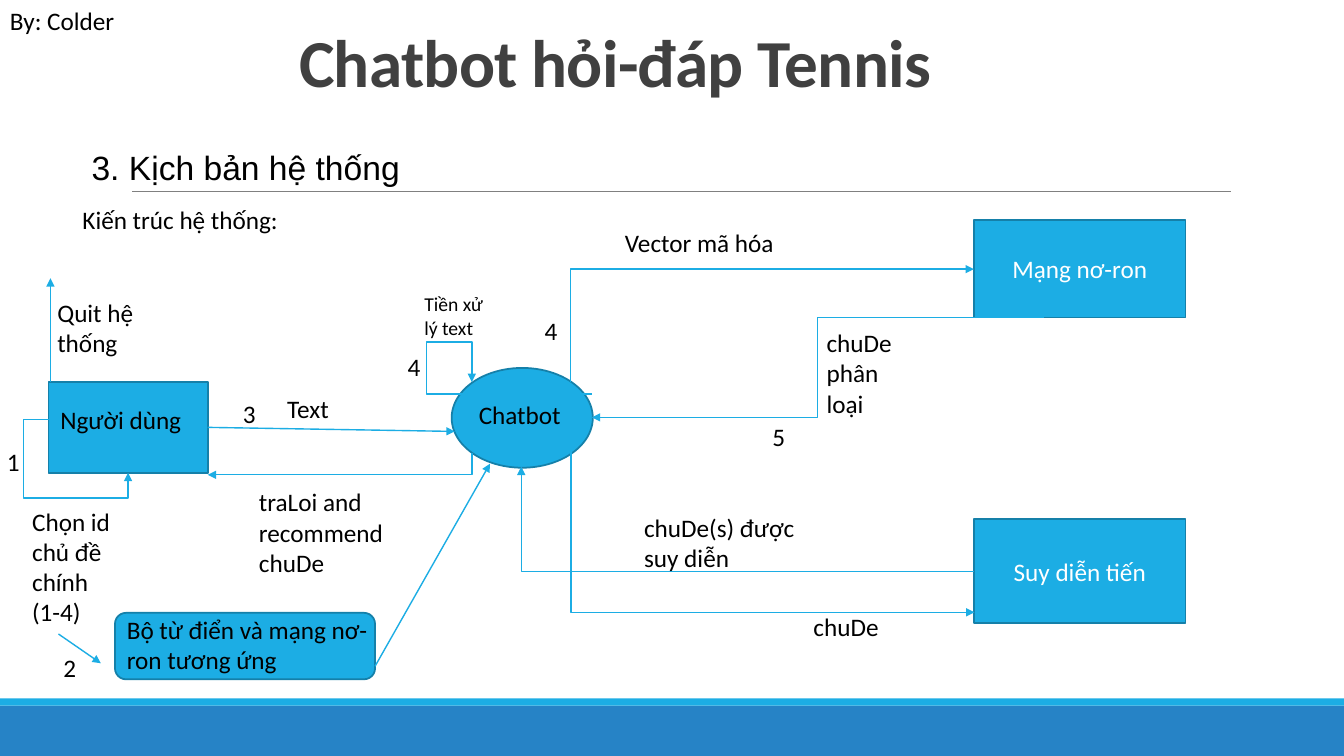
"""Builds the slide on the scenario and architecture of a tennis question-answering chatbot."""
import pptx
import pptx.util
import pptx.dml.color
import pptx.enum.shapes
import pptx.enum.text
import pptx.oxml
import pptx.oxml.ns
from lxml import etree
from dataclasses import dataclass

Inches, Pt = pptx.util.Inches, pptx.util.Pt
RGB = pptx.dml.color.RGBColor.from_string
SHAPE = pptx.enum.shapes.MSO_SHAPE
CONN = pptx.enum.shapes.MSO_CONNECTOR
ANCHOR = pptx.enum.text.MSO_ANCHOR
ALIGN = pptx.enum.text.PP_ALIGN
FIT = pptx.enum.text.MSO_AUTO_SIZE
qn = pptx.oxml.ns.qn


@dataclass
class Theme:
    accent: str = "1CADE4"
    outline: str = "1580A9"
    band: str = "2683C6"
    rule: str = "808080"
    title: str = "404040"
    text: str = "000000"
    light: str = "FFFFFF"
    font: str = "Calibri"
    heading_font: str = "Arial"
    title_size: int = 48
    heading_size: int = 24
    body_size: int = 18
    small_size: int = 14


theme = Theme()


def set_font(p, size, color, name=theme.font):
    p.font.name, p.font.size = name, Pt(size)
    p.font.color.rgb = RGB(color)


def add_line(s, kind, start, end, color=theme.accent, width=1, arrow=True):
    c = s.shapes.add_connector(kind, *[Inches(v) for v in (*start, *end)])
    c.line.color.rgb, c.line.width = RGB(color), Pt(width)
    if arrow:
        etree.SubElement(c.line._get_or_add_ln(), qn("a:tailEnd"), type="triangle")
    etree.SubElement(c._element.spPr, qn("a:effectLst"))
    return c


prs = pptx.Presentation()
prs.slide_width, prs.slide_height = Inches(13.33), Inches(7.5)
s = prs.slides.add_slide(prs.slide_layouts[5])

title = s.shapes.title
title.left, title.top, title.width, title.height = [Inches(v) for v in (0, 0.02, 12.2, 1.03)]
tf = title.text_frame
tf.text = "Chatbot hỏi-đáp Tennis"
tf.auto_size, tf.vertical_anchor, tf.word_wrap = FIT.NONE, ANCHOR.BOTTOM, True
p = tf.paragraphs[0]
p.alignment, p.line_spacing, p.font.bold = ALIGN.CENTER, 0.85, True
set_font(p, theme.title_size, theme.title)
p.runs[0].font._element.set("spc", "-50")

shapes = [
    (SHAPE.RECTANGLE, (0, 7, 13.33, 0.5), theme.band, None, ""),
    (SHAPE.RECTANGLE, (0, 6.93, 13.33, 0.07), theme.accent, None, ""),
    (SHAPE.ROUNDED_RECTANGLE, (1.14, 6.08, 2.58, 0.66), theme.accent, theme.outline, ""),
    (SHAPE.RECTANGLE, (0.48, 3.79, 1.58, 0.9), theme.accent, theme.outline, ""),
    (SHAPE.OVAL, (4.48, 3.65, 1.4, 0.99), theme.accent, theme.outline, ""),
    (SHAPE.RECTANGLE, (9.66, 2.18, 2.1, 0.97), theme.accent, theme.outline, "Mạng nơ-ron"),
    (SHAPE.RECTANGLE, (9.66, 5.15, 2.1, 1.03), theme.accent, theme.outline, "Suy diễn tiến"),
]
for kind, box, fill, outline, text in shapes:
    sp = s.shapes.add_shape(kind, *[Inches(v) for v in box])
    sp.shadow.inherit = False
    sp.fill.solid()
    sp.fill.fore_color.rgb = RGB(fill)
    if outline:
        sp.line.color.rgb, sp.line.width = RGB(outline), Pt(1.25)
    else:
        sp.line.fill.background()
    if text:
        tf = sp.text_frame
        tf.text, tf.vertical_anchor = text, ANCHOR.MIDDLE
        tf.paragraphs[0].alignment = ALIGN.CENTER
        set_font(tf.paragraphs[0], theme.body_size, theme.light)

add_line(s, CONN.STRAIGHT, (1.31, 1.9), (12.21, 1.9), theme.rule, 0.5, arrow=False)
arrows = [
    ((2.06, 4.24), (4.51, 4.28)),
    ((0.5, 3.79), (0.5, 2.76)),
    ((0.58, 6.29), (1, 6.58)),
    ((3.72, 6.61), (4.86, 4.6)),
]
for start, end in arrows:
    add_line(s, CONN.STRAIGHT, start, end)

elbows = [
    ((7.1, 1.23, 1.12, 4), 90, "HV", 2, ()),
    ((5.87, 3.15, 4.48, 0.99), 180, "V", 3, ()),
    ((6.87, 3.28, 1.59, 4), 270, "H", 2, ()),
    ((5.17, 4.63, 4.49, 1.04), 180, "", 2, ()),
    ((3.26, 3.29, 0.22, 2.62), 90, "", 2, ()),
    ((4.68, 3.79, 1.19, 0.12), 180, "", 4, (1.38, 4.32)),
    ((0.5, 4.16, 0.77, 0.53), 180, "HV", 4, (-0.35, 1.47)),
]
for (left, top, width, height), angle, flips, bends, adjustments in elbows:
    c = add_line(s, CONN.ELBOW, (left, top), (left + width, top + height))
    xfrm = c._element.spPr.find(qn("a:xfrm"))
    xfrm.set("rot", str(angle * 60000))
    for axis in flips:
        xfrm.set("flip" + axis, "1")
    geom = c._element.spPr.find(qn("a:prstGeom"))
    geom.set("prst", f"bentConnector{bends}")
    for i, value in enumerate(adjustments, 1):
        etree.SubElement(geom.find(qn("a:avLst")), qn("a:gd"),
                         name=f"adj{i}", fmla=f"val {round(value * 100000)}")

labels = [
    ("By: Colder", 0, 0, 1.39, 0.4),
    ("3. Kịch bản hệ thống", 0.81, 1.41, 10.95, 0.5),
    ("Kiến trúc hệ thống:", 0.72, 1.98, 3, 0.4),
    ("Người dùng", 0.5, 3.96, 1.56, 0.4),
    ("Chatbot", 4.65, 3.91, 1.08, 0.4),
    ("Text", 2.75, 3.85, 1.03, 0.4),
    ("Vector mã hóa", 6.1, 2.21, 1.72, 0.4),
    ("chuDe phân loại", 8.1, 3.2, 0.93, 1.01),
    ("chuDe", 7.97, 6.02, 0.86, 0.4),
    ("chuDe(s) được suy diễn", 6.29, 5.03, 1.77, 0.71),
    ("traLoi and recommend chuDe", 2.47, 4.78, 1.64, 1.01),
    ("Tiền xử lý text", 4.11, 2.85, 0.81, 0.57),
    ("Chọn id chủ đề chính (1-4)", 0.22, 4.97, 1.01, 1.31),
    ("Quit hệ thống", 0.47, 2.9, 1.41, 0.71),
    ("Bộ từ điển và mạng nơ-ron tương ứng", 1.16, 6.04, 2.6, 0.71),
    ("1", -0.03, 4.38, 0.22, 0.4),
    ("2", 0.53, 6.42, 0.21, 0.4),
    ("3", 2.31, 3.9, 0.28, 0.4),
    ("4", 4.02, 3.44, 0.12, 0.4),
    ("4", 5.34, 3.08, 0.16, 0.4),
    ("5", 7.6, 4.13, 0.16, 0.4),
]
styles = {
    "3. Kịch bản hệ thống": (theme.heading_size, theme.text, theme.heading_font),
    "Tiền xử lý text": (theme.small_size, theme.text),
}
for text, *box in labels:
    tf = s.shapes.add_textbox(*[Inches(v) for v in box]).text_frame
    tf.text, tf.word_wrap, tf.auto_size = text, True, FIT.SHAPE_TO_FIT_TEXT
    set_font(tf.paragraphs[0], *styles.get(text, (theme.body_size, theme.text)))

prs.save("out.pptx")
